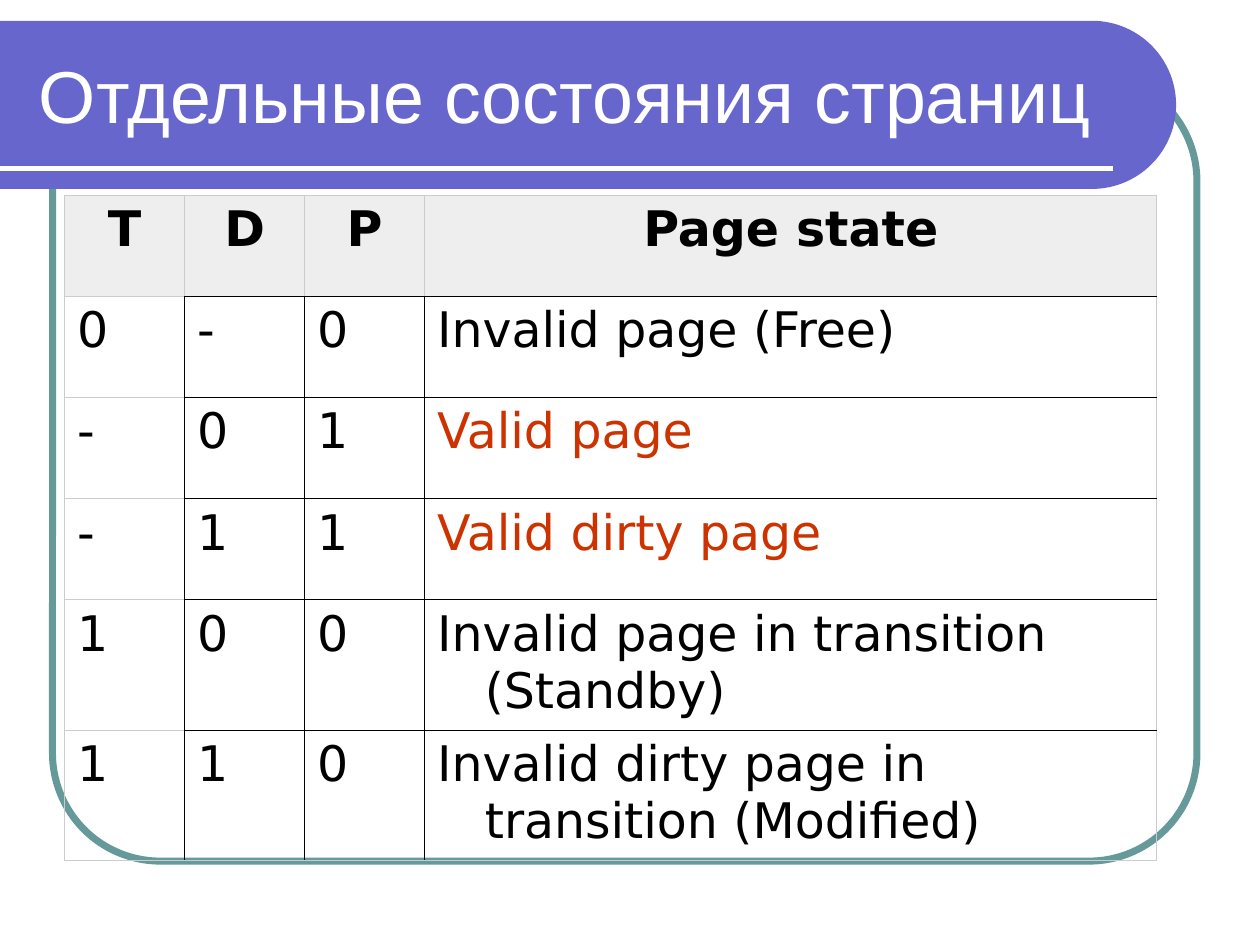
import dataclasses
import math

import lxml.etree
import pptx
import pptx.dml.color
import pptx.enum.shapes
import pptx.enum.text
import pptx.oxml.ns
import pptx.util
from pptx.util import Cm


@dataclasses.dataclass(frozen=True)
class Theme:
    """Colours, fonts and sizes of the slide."""
    band: str = "6666CC"
    frame: str = "669999"
    light: str = "FFFFFF"
    text: str = "000000"
    accent: str = "CC3300"
    header_fill: str = "EEEEEE"
    grid: str = "000000"
    soft_grid: str = "CCCCCC"
    title_font: str = "Arial"
    table_font: str = "DejaVu Sans"
    title_size: int = 42
    table_size: int = 28
    frame_width: float = 4
    rule_width: float = 3
    grid_width: float = 0.45


@dataclasses.dataclass(frozen=True)
class Box:
    """A rectangle on the slide, in centimetres."""
    left: float
    top: float
    width: float
    height: float

    def lengths(self):
        """Return the four values as lengths."""
        return [Cm(value) for value in dataclasses.astuple(self)]


THEME = Theme()
HEADINGS = ("T", "D", "P", "Page state")
STATES = (
    ("0", "-", "0", "Invalid page (Free)"),
    ("-", "0", "1", "Valid page"),
    ("-", "1", "1", "Valid dirty page"),
    ("1", "0", "0", "Invalid page in transition (Standby)"),
    ("1", "1", "0", "Invalid dirty page in transition (Modified)"),
)
COLUMN_WIDTHS = (2.42, 2.42, 2.42, 14.76)
ROW_HEIGHTS = (2.04, 2.04, 2.04, 2.04, 2.63, 2.63)
HANGING = Cm(0.96)


def rgb(colour):
    """Turn a hex string into a colour."""
    return pptx.dml.color.RGBColor.from_string(colour)


def style_font(paragraph, name, size, colour, bold=False):
    """Set the font of a whole paragraph."""
    font = paragraph.font
    font.name, font.size, font.bold = name, pptx.util.Pt(size), bold
    font.color.rgb = rgb(colour)


def add_frame(slide, box):
    """Draw the rounded outline behind the content."""
    frame = slide.shapes.add_shape(
        pptx.enum.shapes.MSO_SHAPE.ROUNDED_RECTANGLE, *box.lengths())
    frame.adjustments[0] = 0.137
    frame.shadow.inherit = False
    frame.fill.background()
    frame.line.color.rgb = rgb(THEME.frame)
    frame.line.width = pptx.util.Pt(THEME.frame_width)


def add_band(slide, box):
    """Draw the title band with its round end and white rule."""
    radius = box.height / 2
    centre_x, centre_y = box.left + box.width - radius, box.top + radius
    angles = [math.radians(degrees) for degrees in range(-90, 91, 3)]
    outline = [(Cm(centre_x + radius * math.cos(angle)),
                Cm(centre_y + radius * math.sin(angle))) for angle in angles]
    outline.append((Cm(box.left), Cm(box.top + box.height)))
    builder = slide.shapes.build_freeform(Cm(box.left), Cm(box.top))
    builder.add_line_segments(outline, close=True)
    band = builder.convert_to_shape()
    band.shadow.inherit = False
    band.fill.solid()
    band.fill.fore_color.rgb = rgb(THEME.band)
    band.line.fill.background()

    rule_y = Cm(box.top + box.height - 0.42)
    rule = slide.shapes.add_connector(
        pptx.enum.shapes.MSO_CONNECTOR.STRAIGHT,
        Cm(box.left), rule_y, Cm(box.left + box.width - 1.27), rule_y)
    rule.line.color.rgb = rgb(THEME.light)
    rule.line.width = pptx.util.Pt(THEME.rule_width)
    lxml.etree.SubElement(rule.element.spPr, pptx.oxml.ns.qn("a:effectLst"))


def place_title(slide, box, wording):
    """Put the title placeholder in front of the band."""
    title = slide.shapes.title
    title.left, title.top, title.width, title.height = box.lengths()
    slide.shapes.element.append(title.element)
    frame = title.text_frame
    frame.text = wording
    frame.word_wrap = True
    frame.auto_size = pptx.enum.text.MSO_AUTO_SIZE.NONE
    frame.vertical_anchor = pptx.enum.text.MSO_ANCHOR.MIDDLE
    paragraph = frame.paragraphs[0]
    paragraph.alignment = pptx.enum.text.PP_ALIGN.LEFT
    style_font(paragraph, THEME.title_font, THEME.title_size, THEME.light)


def set_borders(cell, soft_edges):
    """Draw the cell's edges, soft or strong."""
    qn = pptx.oxml.ns.qn
    properties = cell._tc.get_or_add_tcPr()
    for position, (side, soft) in enumerate(soft_edges.items()):
        edge = lxml.etree.Element(
            qn("a:ln" + side), w=str(pptx.util.Pt(THEME.grid_width)))
        fill = lxml.etree.SubElement(edge, qn("a:solidFill"))
        lxml.etree.SubElement(fill, qn("a:srgbClr"),
                              val=THEME.soft_grid if soft else THEME.grid)
        properties.insert(position, edge)


def fill_cell(cell, wording, is_header):
    """Write and format one table cell."""
    cell.text = wording
    paragraph = cell.text_frame.paragraphs[0]
    indents = paragraph._p.get_or_add_pPr()
    indents.set("marL", str(HANGING))
    indents.set("indent", str(-HANGING))
    colour = THEME.accent if wording.startswith("Valid") else THEME.text
    style_font(paragraph, THEME.table_font, THEME.table_size, colour, is_header)
    if is_header:
        paragraph.alignment = pptx.enum.text.PP_ALIGN.CENTER
        cell.fill.solid()
        cell.fill.fore_color.rgb = rgb(THEME.header_fill)
    else:
        cell.fill.background()


def add_state_table(slide, box):
    """Build the table of page states."""
    rows = (HEADINGS,) + STATES
    last_row, last_column = len(rows) - 1, len(HEADINGS) - 1
    states = slide.shapes.add_table(
        len(rows), len(HEADINGS), *box.lengths()).table
    states.first_row = states.horz_banding = False
    for column, width in zip(states.columns, COLUMN_WIDTHS):
        column.width = Cm(width)
    for row, height in zip(states.rows, ROW_HEIGHTS):
        row.height = Cm(height)
    for r, wordings in enumerate(rows):
        for c, wording in enumerate(wordings):
            cell = states.cell(r, c)
            fill_cell(cell, wording, r == 0)
            set_borders(cell, {
                "L": r == 0 or c == 0,
                "R": r == 0 or c == last_column,
                "T": c == 0 or r == 0,
                "B": c == 0 or r == last_row,
            })


def main():
    """Build and save the presentation."""
    presentation = pptx.Presentation()
    presentation.slide_width, presentation.slide_height = Cm(25.4), Cm(19.05)
    slide = presentation.slides.add_slide(presentation.slide_layouts[5])
    add_frame(slide, Box(1.06, 1.48, 23.07, 15.88))
    add_band(slide, Box(0, 0.42, 23.71, 3.39))
    place_title(slide, Box(0.53, 0.63, 22.28, 2.54), "Отдельные состояния страниц")
    add_state_table(
        slide, Box(1.3, 3.93, sum(COLUMN_WIDTHS), sum(ROW_HEIGHTS)))
    presentation.save("out.pptx")


if __name__ == "__main__":
    main()
